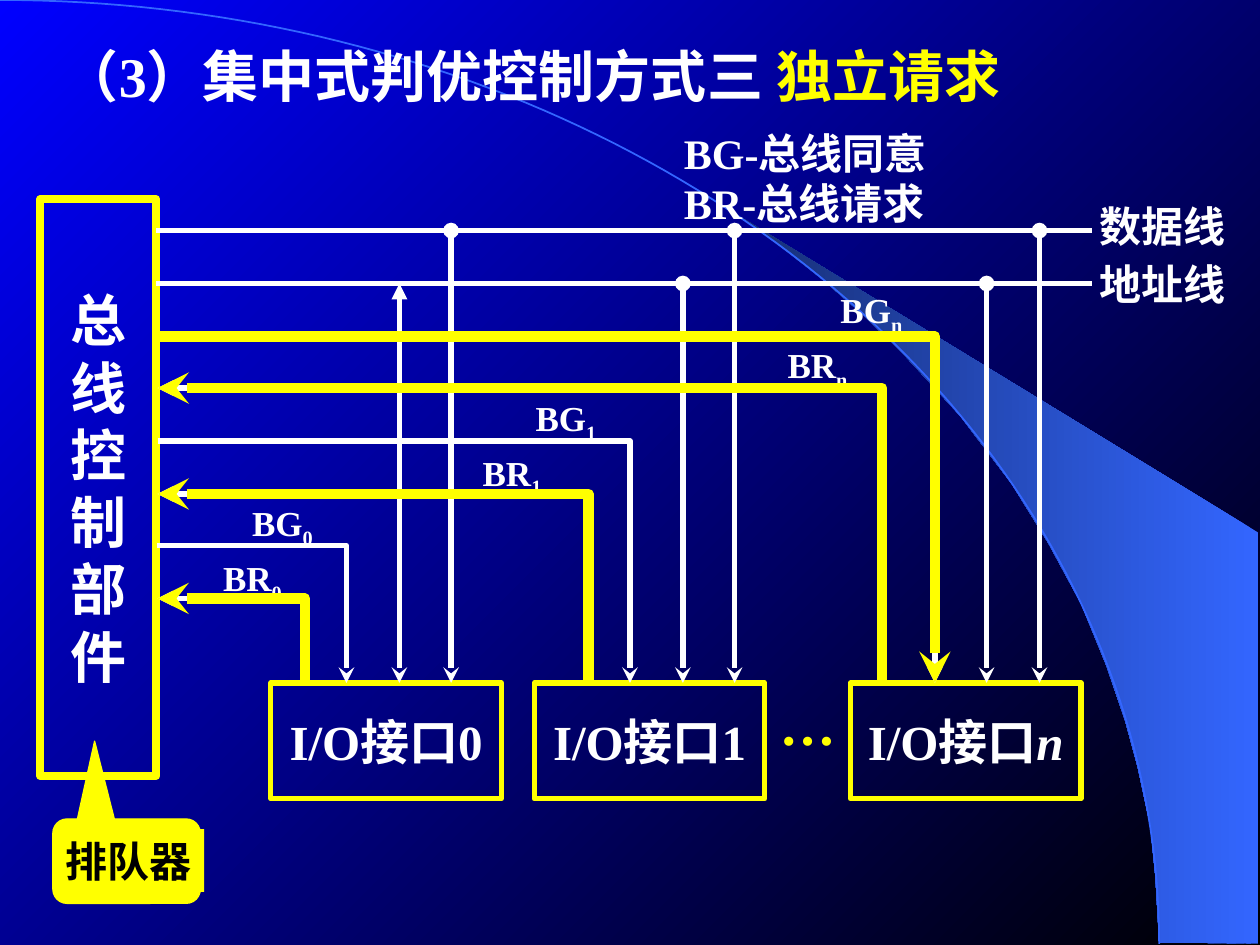
import math
from lxml import etree
from pptx import Presentation, util as u
from pptx.dml.color import RGBColor
from pptx.enum import shapes, text
from pptx.oxml.ns import qn

WHITE, YELLOW, BLACK, BLUE = "FFFFFF", "FFFF00", "000000", "3366FF"


def rgb(value):
    return RGBColor.from_string(value)


def write(tf, paragraphs, size=24, color=WHITE, font="Times New Roman", align=None,
          anchor=text.MSO_ANCHOR.TOP, wrap=False, inset=(0.1, 0.05)):
    tf.word_wrap = wrap
    tf.vertical_anchor = anchor
    tf.margin_left = tf.margin_right = u.Inches(inset[0])
    tf.margin_top = tf.margin_bottom = u.Inches(inset[1])
    for i, runs in enumerate(paragraphs):
        p = tf.add_paragraph() if i else tf.paragraphs[0]
        p.alignment = align or text.PP_ALIGN.LEFT
        for content, extra in runs:
            r = p.add_run()
            r.text = content
            r.font.name, r.font.size, r.font.bold = font, u.Pt(size), True
            r.font.color.rgb = rgb(extra.get("color", color))
            if extra.get("italic"):
                r.font.italic = True
            if extra.get("sub"):
                r.font._element.set("baseline", "-25000")


class Board:
    """Holds the current slide and draws each kind of element in its style."""

    def __init__(self, s):
        self.s = s

    def gradient(self, fill, colors, angle):
        fill.gradient()
        fill.gradient_angle = angle
        for stop, color in zip(fill.gradient_stops, colors):
            stop.color.rgb = rgb(color)

    def stroke(self, sp, color, width, head=None, tail=None):
        sp.line.color.rgb = rgb(color)
        sp.line.width = u.Pt(width)
        ln = sp.line._get_or_add_ln()
        etree.SubElement(ln, qn("a:round"))
        for tag, kind in (("a:headEnd", head), ("a:tailEnd", tail)):
            if kind:
                etree.SubElement(ln, qn(tag), type=kind)

    def label(self, box, paragraphs, **fmt):
        sp = self.s.shapes.add_textbox(*map(u.Inches, box))
        write(sp.text_frame, paragraphs, **fmt)

    def shape(self, kind, box, fill=None, line=None, width=3):
        sp = self.s.shapes.add_shape(kind, *map(u.Inches, box))
        sp.shadow.inherit = False
        if fill:
            sp.fill.solid()
            sp.fill.fore_color.rgb = rgb(fill)
        else:
            sp.fill.background()
        if line:
            sp.line.color.rgb = rgb(line)
            sp.line.width = u.Pt(width)
        else:
            sp.line.fill.background()
        return sp

    def box(self, box, paragraphs, width=3, size=28):
        sp = self.shape(shapes.MSO_SHAPE.RECTANGLE, box, line=YELLOW, width=width)
        write(sp.text_frame, paragraphs, size=size, align=text.PP_ALIGN.CENTER,
              anchor=text.MSO_ANCHOR.MIDDLE)

    def line(self, x1, y1, x2, y2, **ends):
        c = self.s.shapes.add_connector(shapes.MSO_CONNECTOR.STRAIGHT,
                                        *map(u.Inches, (x1, y1, x2, y2)))
        self.stroke(c, WHITE, 3, **ends)
        etree.SubElement(c._element.spPr, qn("a:effectLst"))

    def outline(self, points, close=False):
        pts = [(u.Inches(x), u.Inches(y)) for x, y in points]
        fb = self.s.shapes.build_freeform(*pts[0])
        fb.add_line_segments(pts[1:], close=close)
        sp = fb.convert_to_shape()
        sp.shadow.inherit = False
        sp.fill.background()
        return sp

    def route(self, x, y, color, width, is_grant):
        sp = self.outline([(1.25, y), (x, y), (x, 5.42)])
        end = "tail" if is_grant else "head"
        self.stroke(sp, color, width, **{end: "stealth"})


def main():
    prs = Presentation()
    prs.slide_width, prs.slide_height = u.Inches(10), u.Inches(7.5)
    s = prs.slides.add_slide(prs.slide_layouts[6])
    b = Board(s)

    b.gradient(s.background.fill, (BLACK, "0000FF"), 135)
    beam = b.outline([(9.2, 7.48), (9.99, 7.49), (9.99, 4.23), (5.89, 1.73), (6.24, 1.99),
                      (6.53, 2.22), (6.85, 2.5), (7.16, 2.8), (7.62, 3.3), (8.03, 3.84),
                      (8.32, 4.31), (8.58, 4.79), (8.78, 5.28), (8.93, 5.72), (9.03, 6.09),
                      (9.13, 6.56), (9.17, 6.96)], close=True)
    b.gradient(beam.fill, (BLUE, "172F75"), 180)
    beam.line.fill.background()
    angles = [math.radians(a) for a in range(91)]
    arc = b.outline([(9.2 * math.sin(a), 7.49 * (1 - math.cos(a))) for a in angles])
    b.stroke(arc, BLUE, 1)

    b.label((0.4, 0.28, 9.6, 0.64), [[("（3）集中式判优控制方式三 ", {}),
                                      ("独立请求", {"color": YELLOW})]], size=32, wrap=True)
    b.box((0.32, 1.58, 0.92, 4.58), [[(c, {})] for c in "总线控制部件"], width=4.5, size=32)

    callout = b.shape(shapes.MSO_SHAPE.ROUNDED_RECTANGULAR_CALLOUT, (0.42, 6.5, 1.17, 0.67),
                      fill=YELLOW, line=YELLOW, width=0.75)
    for i, value in enumerate((-0.217, -1.422, 0.167)):
        callout.adjustments[i] = value
    queue = b.shape(shapes.MSO_SHAPE.RECTANGLE, (0.42, 6.58, 1.2, 0.5), fill=YELLOW)
    write(queue.text_frame, [[("排队器", {})]], color=BLACK)

    data_y, address_y, port_y = 1.83, 2.25, 5.42
    for y, top, name in ((data_y, 1.54, "数据线"), (address_y, 2, "地址线")):
        b.line(1.24, y, 8.67, y)
        b.label((8.63, top, 1.2, 0.5), [[(name, {})]])
    for x, number in ((2.15, "0"), (4.24, "1"), (6.75, "n")):
        b.box((x, port_y, 1.83, 0.92),
              [[("I/O接口", {}), (number, {"italic": number == "n"})]])
    b.label((6.09, 5.42, 0.64, 0.64), [[("…", {})]], size=32, color=YELLOW)

    routes = [("BG", "n", 7.42, 2.67, 6.67, 2.29), ("BR", "n", 7, 3.08, 6.25, 2.73),
              ("BG", "1", 5, 3.5, 4.25, 3.15), ("BR", "1", 4.67, 3.92, 3.83, 3.58),
              ("BG", "0", 2.75, 4.33, 2, 3.98), ("BR", "0", 2.42, 4.75, 1.77, 4.42)]
    for name, index, x, y, left, top in routes:
        b.route(x, y, WHITE, 3, name == "BG")
        b.label((left, top, 0.92, 0.38), [[(name, {}), (index, {"sub": True})]],
                size=20, wrap=True, inset=(0, 0))
    for x, head in ((3.17, "triangle"), (5.42, "oval"), (7.83, "oval")):
        b.line(x, address_y, x, port_y, head=head, tail="stealth")
    for x in (3.58, 5.83, 8.25):
        b.line(x, data_y, x, port_y, head="oval", tail="stealth")
    b.label((5.33, 0.96, 2.58, 0.9), [[("BG-总线同意", {})], [("BR-总线请求", {})]], wrap=True)

    for name, index, x, y, *_ in routes:
        if name == "BR" or index == "n":
            b.route(x, y, YELLOW, 6, name == "BG")

    prs.save("out.pptx")


if __name__ == "__main__":
    main()
